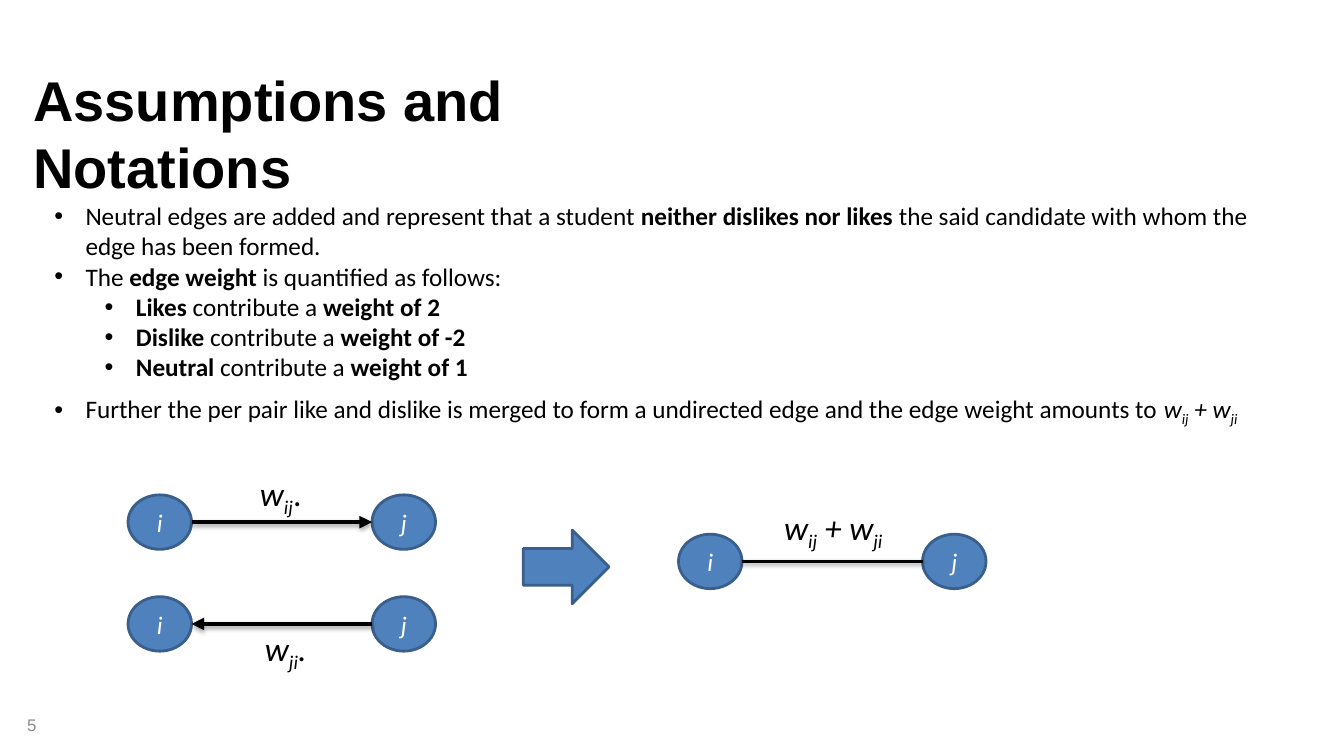
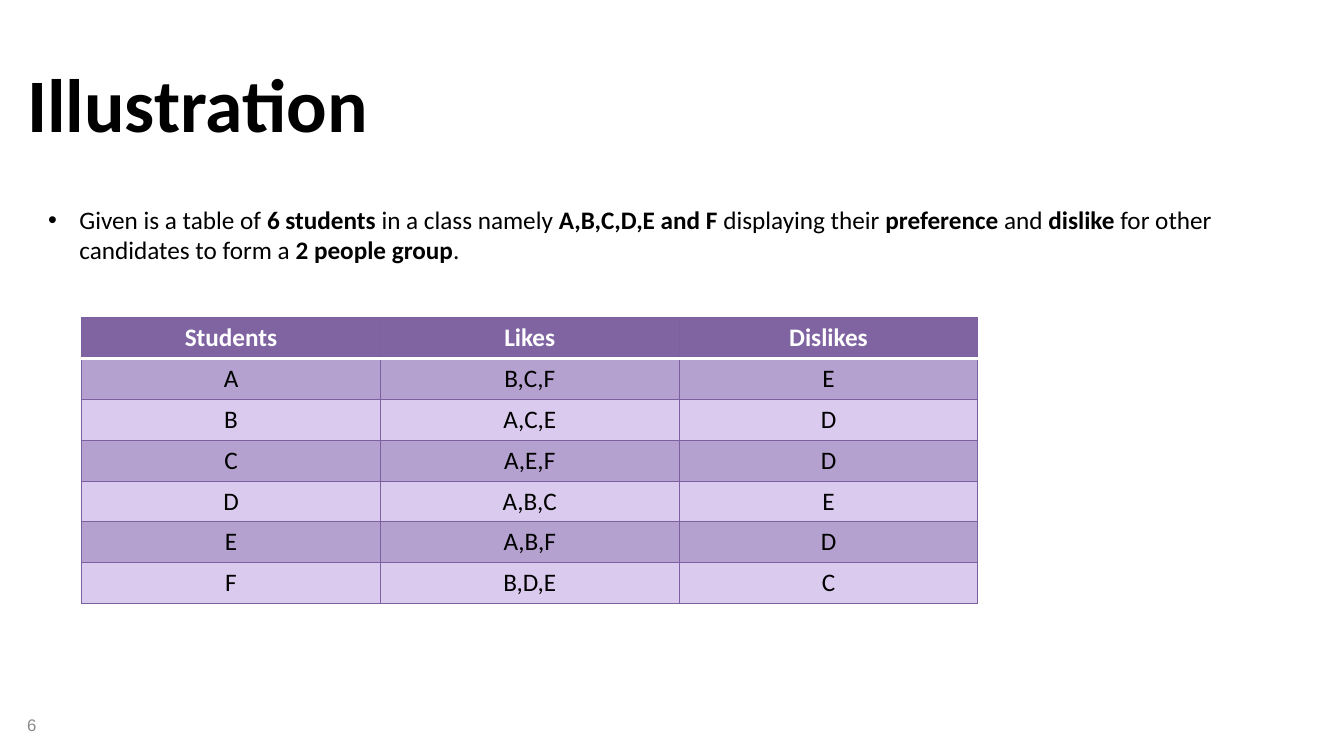
from dataclasses import dataclass
from typing import NamedTuple

from lxml import etree
from pptx import Presentation
from pptx import util as u
from pptx.dml.color import RGBColor
from pptx.enum import shapes, text
from pptx.oxml import ns

PX = 9144  # EMU in one px, 100 px to the inch

BLACK = RGBColor(0x00, 0x00, 0x00)
WHITE = RGBColor(0xFF, 0xFF, 0xFF)
GREY = RGBColor(0x8C, 0x8C, 0x8C)
BLUE = RGBColor(0x4F, 0x81, 0xBD)
BLUE_LINE = RGBColor(0x3A, 0x5F, 0x8C)
PURPLE = RGBColor(0x80, 0x64, 0xA2)
PURPLE_LINE = RGBColor(0x7D, 0x60, 0xA0)
BAND_DARK = RGBColor(0xB4, 0xA1, 0xCF)
BAND_LIGHT = RGBColor(0xDA, 0xCA, 0xED)

NODE_W, NODE_H = 63, 54
NODE_STEP = 242


class Box(NamedTuple):
    left: int
    top: int
    width: int
    height: int

    def emu(self) -> list[u.Emu]:
        return [px(length) for length in self]


class Span(NamedTuple):
    text: str
    bold: bool = False
    italic: bool = False
    sub: bool = False


@dataclass
class Line:
    """One paragraph of spans; a level of None means no bullet."""
    spans: list[Span]
    level: int | None = 0


@dataclass
class Pair:
    """Two nodes, the edge between them and its label."""
    left: int
    top: int
    arrow: str
    label: Box
    spans: list[Span]


def px(length: int) -> u.Emu:
    return u.Emu(length * PX)


def bold(words: str) -> Span:
    return Span(words, bold=True)


def weight(index: str, lead: str = "w") -> list[Span]:
    return [Span(lead, italic=True), Span(index, italic=True, sub=True)]


MERGED_WEIGHT = weight("ij") + weight("ji", " + w")

RULES = [
    Line([Span("Neutral edges are added and represent that a student "),
          bold("neither dislikes nor likes "),
          Span("the said candidate with whom the edge has been formed.")]),
    Line([Span("The "), bold("edge weight "), Span("is quantified as follows:")]),
    Line([bold("Likes "), Span("contribute a "), bold("weight of 2")], 1),
    Line([bold("Dislike"), Span(" contribute a "), bold("weight of -2")], 1),
    Line([bold("Neutral"), Span(" contribute a "), bold("weight of 1")], 1),
]
MERGE_RULE = Line([
    Span("Further the per pair like and dislike is merged to form a undirected edge "
         "and the edge weight amounts to "), *MERGED_WEIGHT])
PAIRS = [
    Pair(127, 491, "right", Box(248, 464, 150, 50), weight("ij") + [Span(".")]),
    Pair(127, 592, "left", Box(253, 618, 150, 50), weight("ji") + [Span(".", italic=True)]),
    Pair(673, 530, "none", Box(768, 498, 200, 50), MERGED_WEIGHT),
]
EXAMPLE = Line([
    Span("Given is a table of "), bold("6 students"), Span(" in a class namely "),
    bold("A,B,C,D,E and F "), Span("displaying their "), bold("preference"),
    Span(" and "), bold("dislike"), Span(" for other candidates to form a "),
    bold("2 people group"), Span(".")])
CHOICES = [
    ("Students", "Likes", "Dislikes"),
    ("A", "B,C,F", "E"),
    ("B", "A,C,E", "D"),
    ("C", "A,E,F", "D"),
    ("D", "A,B,C", "E"),
    ("E", "A,B,F", "D"),
    ("F", "B,D,E", "C"),
]


def style(para, size: int, color: RGBColor = BLACK, name: str = "Calibri") -> None:
    para.font.size = u.Pt(size)
    para.font.name = name
    para.font.color.rgb = color


def add_bullet(para, level: int) -> None:
    para.level = level
    props = para._p.get_or_add_pPr()
    props.set("marL", str(px(31 + 50 * level)))
    props.set("indent", str(px(-31)))
    etree.SubElement(props, ns.qn("a:buFont")).set("typeface", "Arial")
    etree.SubElement(props, ns.qn("a:buChar")).set("char", "•")


def add_text(page, box: Box, lines: list[Line], size: int,
             color: RGBColor = BLACK, name: str = "Calibri"):
    frame = page.shapes.add_textbox(*box.emu()).text_frame
    frame.word_wrap = True
    for number, line in enumerate(lines):
        para = frame.add_paragraph() if number else frame.paragraphs[0]
        if line.level is not None:
            add_bullet(para, line.level)
        style(para, size, color, name)
        for span in line.spans:
            run = para.add_run()
            run.text = span.text
            run.font.bold = span.bold
            run.font.italic = span.italic
            if span.sub:
                run._r.get_or_add_rPr().set("baseline", "-25000")
    return frame


def add_page(deck, title: str, box: Box, size: int, name: str, number: int):
    """Add a title-only slide with its title and page number."""
    page = deck.slides.add_slide(deck.slide_layouts[5])
    heading = page.shapes.title
    heading.left, heading.top, heading.width, heading.height = box.emu()
    frame = heading.text_frame
    frame.text = title
    frame.word_wrap = True
    frame.auto_size = text.MSO_AUTO_SIZE.NONE
    frame.vertical_anchor = text.MSO_ANCHOR.TOP
    para = frame.paragraphs[0]
    para.alignment = text.PP_ALIGN.LEFT
    style(para, size, name=name)
    para.font.bold = True
    footer = add_text(page, Box(17, 699, 422, 40), [Line([Span(str(number))], None)],
                      12, GREY, "Arial")
    footer.vertical_anchor = text.MSO_ANCHOR.MIDDLE
    return page


def add_blue_shape(page, kind: shapes.MSO_SHAPE, box: Box):
    shape = page.shapes.add_shape(kind, *box.emu())
    shape.shadow.inherit = False
    shape.fill.solid()
    shape.fill.fore_color.rgb = BLUE
    shape.line.color.rgb = BLUE_LINE
    shape.line.width = u.Pt(2)
    return shape


def add_node(page, left: int, top: int, name: str) -> None:
    node = add_blue_shape(page, shapes.MSO_SHAPE.OVAL, Box(left, top, NODE_W, NODE_H))
    frame = node.text_frame
    frame.vertical_anchor = text.MSO_ANCHOR.MIDDLE
    para = frame.paragraphs[0]
    para.text = name
    para.alignment = text.PP_ALIGN.CENTER
    style(para, 18, WHITE)
    para.font.italic = True


def add_edge(page, start: int, end: int, y: int, arrow: bool) -> None:
    edge = page.shapes.add_connector(
        shapes.MSO_CONNECTOR.STRAIGHT, px(start), px(y), px(end), px(y))
    edge.line.color.rgb = BLACK
    edge.line.width = u.Pt(3 if arrow else 2)
    if arrow:
        etree.SubElement(edge.line._get_or_add_ln(), ns.qn("a:tailEnd")).set("type", "triangle")
    effects = etree.SubElement(edge._element.spPr, ns.qn("a:effectLst"))
    shadow = etree.SubElement(effects, ns.qn("a:outerShdw"), blurRad="40000",
                              dist="23000" if arrow else "20000",
                              dir="5400000", rotWithShape="0")
    tint = etree.SubElement(shadow, ns.qn("a:srgbClr"), val=str(BLACK))
    etree.SubElement(tint, ns.qn("a:alpha"), val="35000" if arrow else "38000")


def add_pair(page, pair: Pair) -> None:
    add_node(page, pair.left, pair.top, "i")
    add_node(page, pair.left + NODE_STEP, pair.top, "j")
    ends = [pair.left + NODE_W, pair.left + NODE_STEP]
    if pair.arrow == "left":
        ends.reverse()
    add_edge(page, *ends, pair.top + NODE_H // 2, pair.arrow != "none")
    add_text(page, pair.label, [Line(pair.spans, None)], 24)


def set_border(cell, side: str, color: RGBColor, width: float) -> None:
    line = etree.SubElement(cell._tc.get_or_add_tcPr(), ns.qn(f"a:ln{side}"),
                            w=str(u.Pt(width)))
    fill = etree.SubElement(line, ns.qn("a:solidFill"))
    etree.SubElement(fill, ns.qn("a:srgbClr"), val=str(color))


def add_choices(page, box: Box) -> None:
    """Draw the table of likes and dislikes with a header and two row bands."""
    table = page.shapes.add_table(len(CHOICES), len(CHOICES[0]), *box.emu()).table
    for row in table.rows:
        row.height = px(box.height) // len(CHOICES)
    for row, words in enumerate(CHOICES):
        header = row == 0
        fill = PURPLE if header else BAND_DARK if row % 2 else BAND_LIGHT
        for column, word in enumerate(words):
            cell = table.cell(row, column)
            for side in "LRTB":
                under_header = (row, side) in ((0, "B"), (1, "T"))
                set_border(cell, side, *((WHITE, 2) if under_header else (PURPLE_LINE, 0.75)))
            cell.fill.solid()
            cell.fill.fore_color.rgb = fill
            para = cell.text_frame.paragraphs[0]
            para.text = word
            para.alignment = text.PP_ALIGN.CENTER
            style(para, 18, WHITE if header else BLACK)
            para.font.bold = header


def build_assumptions(deck) -> None:
    page = add_page(deck, "Assumptions and Notations", Box(23, 60, 745, 77), 40, "Arial", 5)
    add_text(page, Box(44, 194, 1206, 192), RULES, 18)
    add_text(page, Box(44, 385, 1206, 40), [MERGE_RULE], 18)
    for pair in PAIRS:
        add_pair(page, pair)
    add_blue_shape(page, shapes.MSO_SHAPE.RIGHT_ARROW, Box(519, 526, 85, 73))


def build_illustration(deck) -> None:
    page = add_page(deck, "Illustration", Box(17, 51, 882, 101), 54, "Calibri", 6)
    add_text(page, Box(38, 198, 1280, 71), [EXAMPLE], 18)
    add_choices(page, Box(81, 315, 889, 284))


def main() -> None:
    deck = Presentation()
    deck.slide_width, deck.slide_height = px(1333), px(750)
    build_assumptions(deck)
    build_illustration(deck)
    deck.save("out.pptx")


if __name__ == "__main__":
    main()
